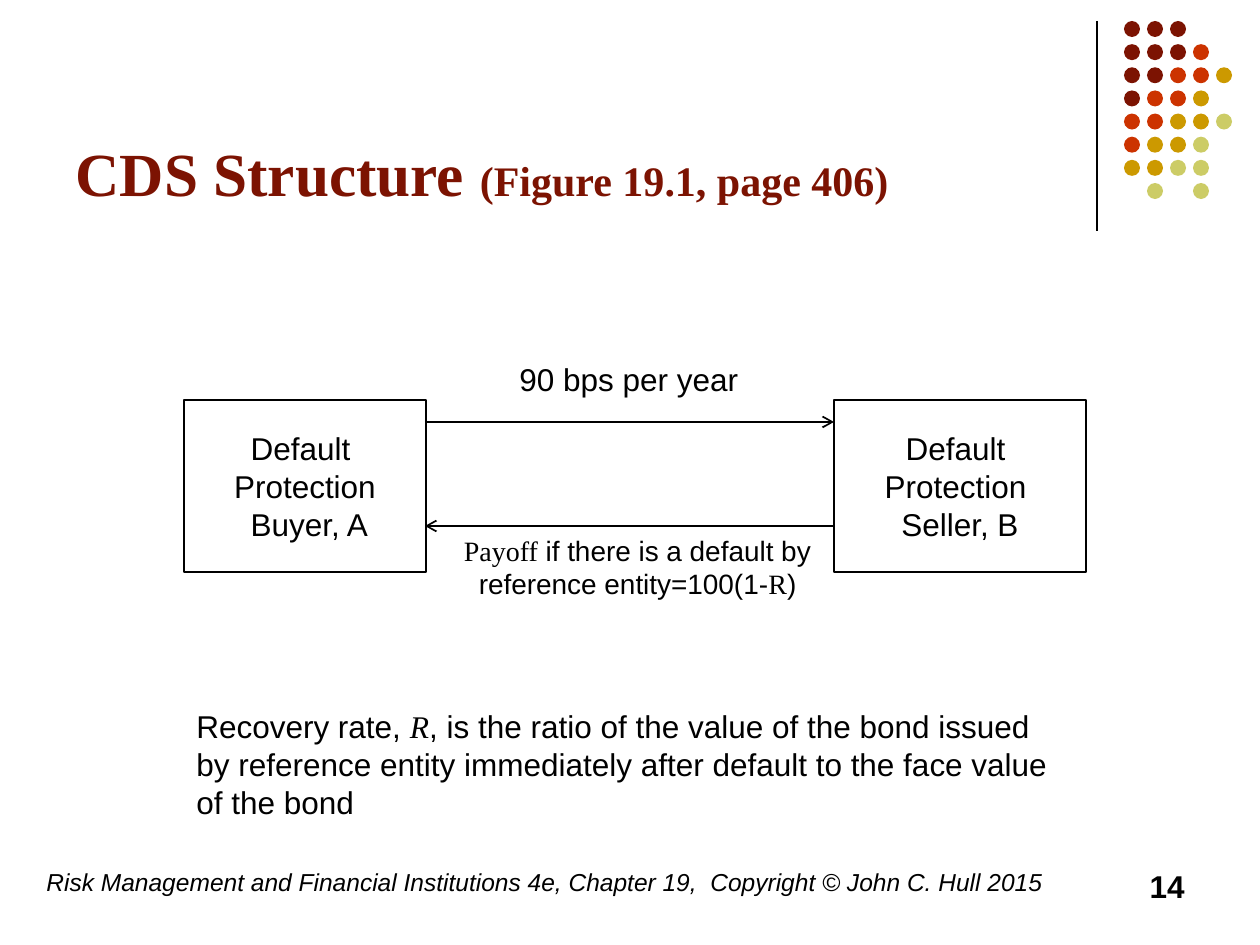
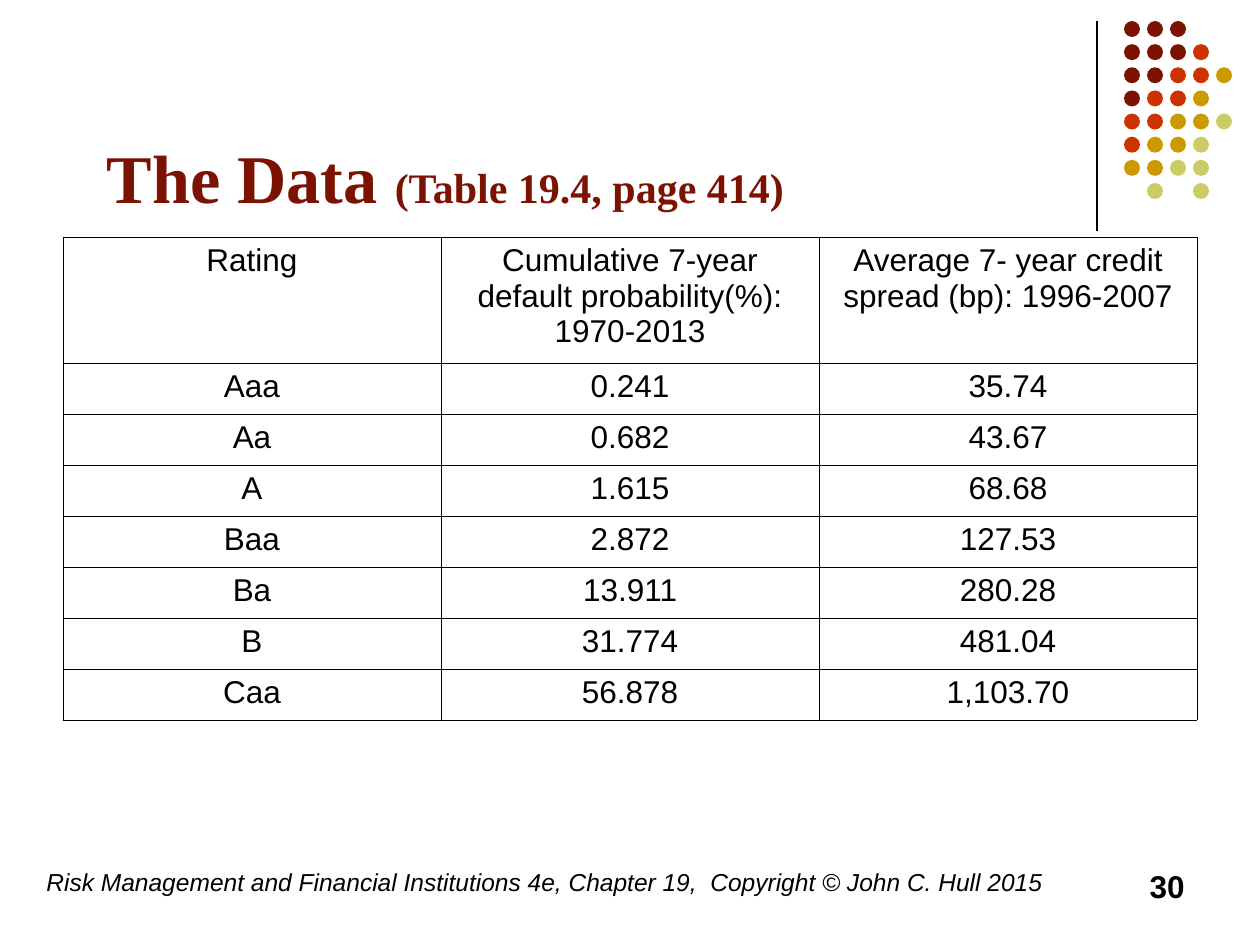
"""Build two slides on credit default swaps: the CDS structure and the ratings data."""
from lxml import etree
from pptx import Presentation
from pptx import util as u
from pptx.dml.color import RGBColor
from pptx.enum import shapes, text
from pptx.oxml.ns import qn

PX = u.Inches(1) / 126
SLIDE_SIZE = (1260, 945)
TITLE_ONLY = 5
COLORS = {"black": "000000", "white": "FFFFFF", "maroon": "7C1302",
          "red": "CC3300", "gold": "CC9900", "olive": "CCCC66"}
SANS, SERIF = "Arial", "Times New Roman"

DOT_ROWS = ["MMM", "MMMR", "MMRRG", "MRRG", "RRGGO", "RGGO", "GGOO", " O O"]
DOT_COLORS = {"M": "maroon", "R": "red", "G": "gold", "O": "olive"}
DOT_AREA, DOT_SIZE = (1124, 21, 92, 162), 16
DIVIDER = ((1097, 21), (1097, 231))
FOOTER = "Risk Management and Financial Institutions 4e, Chapter 19,  Copyright © John C. Hull 2015"
FOOTER_AREA = (34, 861, 1042, 63)
NUMBER_AREA = (903, 861, 294, 63)

STRUCTURE = {"title": "CDS Structure ", "size": 35, "reference": "(Figure 19.1, page 406)",
             "area": (63, 84, 964, 131), "number": "14"}
DATA = {"title": "The Data ", "size": 39, "reference": "(Table 19.4, page 414)",
        "area": (94, 45, 1040, 179), "number": "30"}

PARTIES = [((184, 400, 242, 172), ["Default ", "Protection", " Buyer, A"]),
           ((834, 400, 252, 172), ["Default ", "Protection ", "Seller, B"])]
PAYMENTS = [((425, 422), (834, 422)), ((834, 526), (425, 526))]
LABELS = [
    ((507, 354, 287, 50), "LEFT", [("90 bps per year", {})]),
    ((402, 527, 471, 81), "CENTER", [
        ("Payoff", {"size": 16, "font": SERIF}),
        (" if there is a default by reference entity=100(1-", {"size": 16}),
        ("R", {"size": 16, "font": SERIF}),
        (")", {"size": 16})]),
    ((184, 701, 893, 126), "LEFT", [
        ("Recovery rate, ", {}),
        ("R", {"font": SERIF, "italic": True}),
        (", is the ratio of the value of the bond issued by reference entity "
         "immediately after default to the face value of the bond", {})]),
]

TABLE_AREA, HEADER_HEIGHT, ROW_HEIGHT = (63, 237, 1134, 483), 126, 51
RATINGS = [
    ("Rating", "Cumulative 7-year default probability(%): 1970-2013",
     "Average 7- year credit spread (bp): 1996-2007"),
    ("Aaa", "0.241", "35.74"),
    ("Aa", "0.682", "43.67"),
    ("A", "1.615", "68.68"),
    ("Baa", "2.872", "127.53"),
    ("Ba", "13.911", "280.28"),
    ("B", "31.774", "481.04"),
    ("Caa", "56.878", "1,103.70"),
]


def emu(lengths):
    return [u.Emu(round(length * PX)) for length in lengths]


def rgb(color):
    return RGBColor.from_string(COLORS[color])


def write(paragraph, runs, align="LEFT"):
    paragraph.alignment = text.PP_ALIGN[align]
    for words, style in runs:
        run = paragraph.add_run()
        run.text = words
        run.font.name = style.get("font", SANS)
        run.font.size = u.Pt(style.get("size", 18))
        run.font.bold = style.get("bold", False)
        run.font.italic = style.get("italic", False)
        run.font.color.rgb = rgb(style.get("color", "black"))


def add_label(slide, area, align, runs):
    frame = slide.shapes.add_textbox(*emu(area)).text_frame
    frame.word_wrap = True
    write(frame.paragraphs[0], runs, align)


def add_line(slide, start, end, width, arrow=False):
    line = slide.shapes.add_connector(shapes.MSO_CONNECTOR.STRAIGHT, *emu(start + end))
    line.line.color.rgb = rgb("black")
    line.line.width = u.Pt(width)
    properties = line._element.spPr
    if arrow:
        etree.SubElement(properties.find(qn("a:ln")), qn("a:tailEnd"), type="arrow")
    etree.SubElement(properties, qn("a:effectLst"))


def add_dots(slide):
    group = slide.shapes.add_group_shape()
    left, top, width, height = DOT_AREA
    columns = max(map(len, DOT_ROWS))
    for row, marks in enumerate(DOT_ROWS):
        for column, mark in enumerate(marks):
            if mark in DOT_COLORS:
                x = left + width * column / (columns - 1)
                y = top + height * row / (len(DOT_ROWS) - 1)
                dot = group.shapes.add_shape(shapes.MSO_SHAPE.OVAL, *emu((x, y, DOT_SIZE, DOT_SIZE)))
                dot.shadow.inherit = False
                dot.fill.solid()
                dot.fill.fore_color.rgb = rgb(DOT_COLORS[mark])
                dot.line.fill.background()


def add_slide(presentation, content):
    slide = presentation.slides.add_slide(presentation.slide_layouts[TITLE_ONLY])
    add_line(slide, *DIVIDER, 0.75)
    add_dots(slide)
    title = slide.shapes.title
    title.left, title.top, title.width, title.height = emu(content["area"])
    frame = title.text_frame
    frame.auto_size = text.MSO_AUTO_SIZE.NONE
    frame.vertical_anchor = text.MSO_ANCHOR.BOTTOM
    style = {"font": SERIF, "bold": True, "color": "maroon"}
    write(frame.paragraphs[0], [(content["title"], style | {"size": content["size"]}),
                                (content["reference"], style | {"size": 24})])
    add_label(slide, FOOTER_AREA, "LEFT", [(FOOTER, {"size": 14, "italic": True})])
    add_label(slide, NUMBER_AREA, "RIGHT", [(content["number"], {"bold": True})])
    return slide


def add_party(slide, area, lines):
    box = slide.shapes.add_shape(shapes.MSO_SHAPE.RECTANGLE, *emu(area))
    box.shadow.inherit = False
    box.fill.solid()
    box.fill.fore_color.rgb = rgb("white")
    box.line.color.rgb = rgb("black")
    box.line.width = u.Pt(1)
    frame = box.text_frame
    frame.word_wrap = False
    frame.vertical_anchor = text.MSO_ANCHOR.MIDDLE
    for index, words in enumerate(lines):
        paragraph = frame.add_paragraph() if index else frame.paragraphs[0]
        write(paragraph, [(words, {})], "CENTER")


def format_cell(cell):
    properties = cell._tc.get_or_add_tcPr()
    for side in ("lnL", "lnR", "lnT", "lnB"):
        border = etree.SubElement(properties, qn(f"a:{side}"), w=str(u.Pt(0.45)))
        fill = etree.SubElement(border, qn("a:solidFill"))
        etree.SubElement(fill, qn("a:srgbClr"), val=COLORS["black"])
    cell.fill.background()


def add_ratings(slide):
    table = slide.shapes.add_table(len(RATINGS), len(RATINGS[0]), *emu(TABLE_AREA)).table
    table.first_row = table.horz_banding = False
    for index, record in enumerate(RATINGS):
        table.rows[index].height = emu([ROW_HEIGHT if index else HEADER_HEIGHT])[0]
        for column, words in enumerate(record):
            cell = table.cell(index, column)
            format_cell(cell)
            write(cell.text_frame.paragraphs[0], [(words, {})], "CENTER")


def main():
    presentation = Presentation()
    presentation.slide_width, presentation.slide_height = emu(SLIDE_SIZE)
    slide = add_slide(presentation, STRUCTURE)
    for area, lines in PARTIES:
        add_party(slide, area, lines)
    for start, end in PAYMENTS:
        add_line(slide, start, end, 1, arrow=True)
    for label in LABELS:
        add_label(slide, *label)
    add_ratings(add_slide(presentation, DATA))
    presentation.save("out.pptx")


if __name__ == "__main__":
    main()
